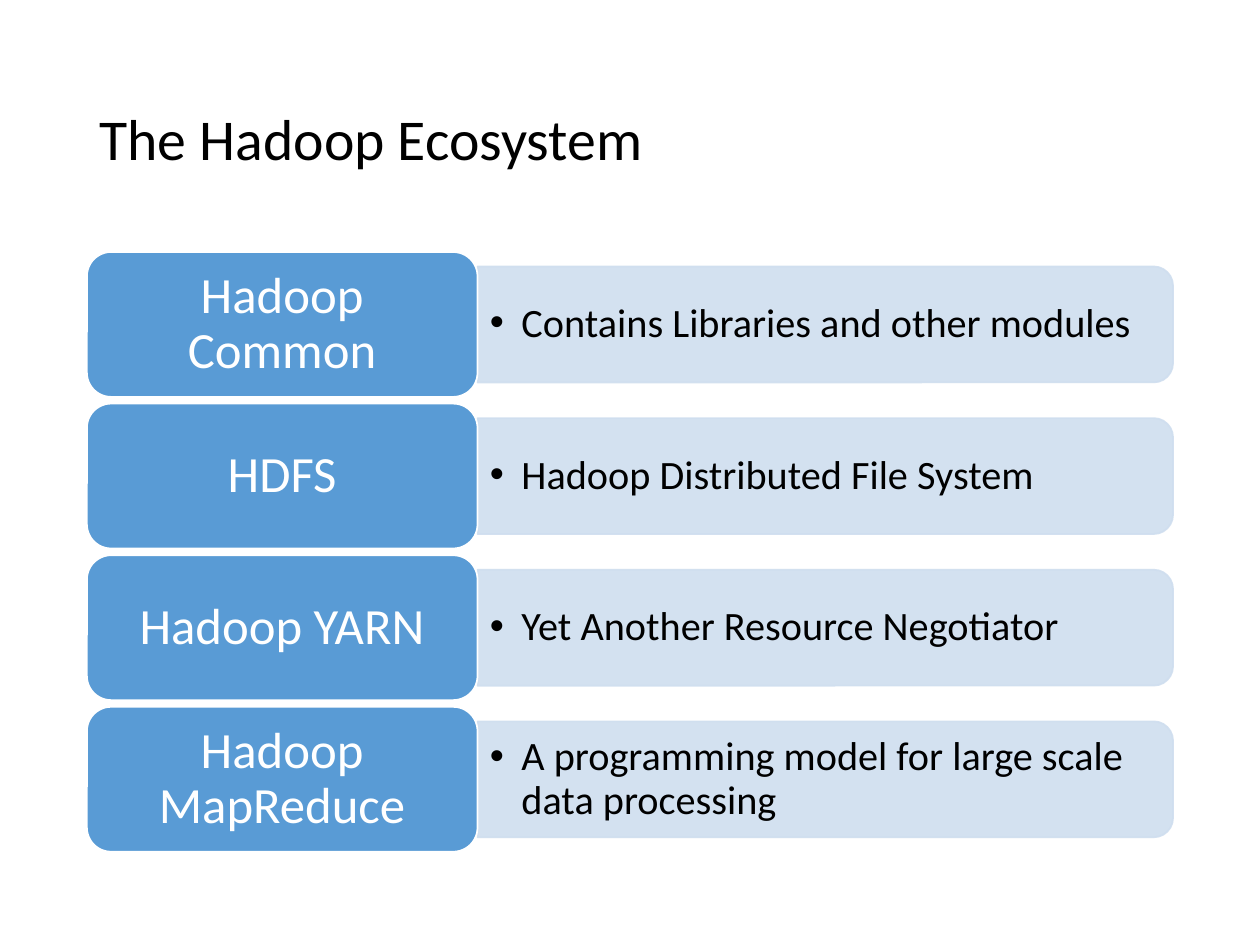
from lxml import etree
from pptx import Presentation
from pptx.dml.color import RGBColor
from pptx.enum.shapes import MSO_SHAPE
from pptx.enum.text import MSO_ANCHOR, PP_ALIGN
from pptx.oxml.ns import qn
from pptx.util import Inches, Pt

ROUND, BAR = MSO_SHAPE.ROUNDED_RECTANGLE, MSO_SHAPE.ROUND_2_SAME_RECTANGLE
MIDDLE = MSO_ANCHOR.MIDDLE
LEFT, CENTER = PP_ALIGN.LEFT, PP_ALIGN.CENTER

# Content
TITLE = "The Hadoop Ecosystem"
PARTS = [
    ("Hadoop Common", "Contains Libraries and other modules"),
    ("HDFS", "Hadoop Distributed File System"),
    ("Hadoop YARN", "Yet Another Resource Negotiator"),
    ("Hadoop MapReduce", "A programming model for large scale data processing"),
]
FONT, BLACK, WHITE, BLUE, PALE = "Calibri", "000000", "FFFFFF", "599BD5", "CFDEEF"

# Layout in inches
X, TOP, TOTAL = 0.69, 2, 4.76
LABEL_W, LABEL_H = 3.1, 1.15
BAR_W, BAR_H = 5.52, 0.92
NOTE_W, NOTE_H = 5.48, 0.83
STEP = (TOTAL - LABEL_H) / (len(PARTS) - 1)


def color(target, code):
    target.rgb = RGBColor.from_string(code)


def write(shape, text, size, code, align, pad=(0.1, 0.05)):
    frame = shape.text_frame
    frame.text = text
    frame.word_wrap = True
    frame.vertical_anchor = MIDDLE
    frame.margin_left = frame.margin_right = Inches(pad[0])
    frame.margin_top = frame.margin_bottom = Inches(pad[1])
    par = frame.paragraphs[0]
    par.alignment, par.line_spacing = align, 0.9
    font = par.runs[0].font
    font.name, font.size = FONT, Pt(size)
    color(font.color, code)
    return par


def draw(kind, box, fill, line, adjust):
    shape = slide.shapes.add_shape(kind, *map(Inches, box))
    shape.shadow.inherit = False
    shape.fill.solid()
    color(shape.fill.fore_color, fill)
    shape.line.width = Pt(1)
    color(shape.line.color, line)
    for i, value in enumerate(adjust):
        shape.adjustments[i] = value
    return shape


def fade(shape, percent):
    for tone in shape._element.spPr.iter(qn("a:srgbClr")):
        etree.SubElement(tone, qn("a:alpha"), val=str(percent * 1000))


def bullet(par):
    par.level = 1
    props = par._p.get_or_add_pPr()
    props.set("marL", str(Inches(0.25)))
    props.set("indent", str(Inches(-0.25)))
    tone = etree.SubElement(props, qn("a:buClr"))
    etree.SubElement(tone, qn("a:srgbClr"), val=BLACK)
    etree.SubElement(props, qn("a:buFont"), typeface="Arial")
    etree.SubElement(props, qn("a:buChar"), char="•")


prs = Presentation()
prs.slide_width, prs.slide_height = Inches(10), Inches(7.5)
slide = prs.slides.add_slide(prs.slide_layouts[5])

# Title
title = slide.shapes.title
title.left, title.top, title.width, title.height = map(Inches, (X, 0.4, 8.62, 1.45))
write(title, TITLE, 33, BLACK, LEFT)

# Rows: pale bar, its note, then the label over the bar's left edge
for i, (name, note) in enumerate(PARTS):
    top = TOP + i * STEP
    mid = top + LABEL_H / 2
    edge = X + LABEL_W

    # The bar stands upright and is turned, so its round corners face right
    bar = draw(BAR, (edge + (BAR_W - BAR_H) / 2, mid - BAR_W / 2, BAR_H, BAR_W),
               PALE, PALE, (0.167, 0))
    bar.rotation = 90
    fade(bar, 90)

    box = slide.shapes.add_textbox(
        *map(Inches, (edge, mid - NOTE_H / 2, NOTE_W, NOTE_H)))
    bullet(write(box, note, 23, BLACK, LEFT))

    label = draw(ROUND, (X, top, LABEL_W, LABEL_H), BLUE, WHITE, (0.167,))
    write(label, name, 29, WHITE, CENTER, (0.12, 0.06))

prs.save("out.pptx")
